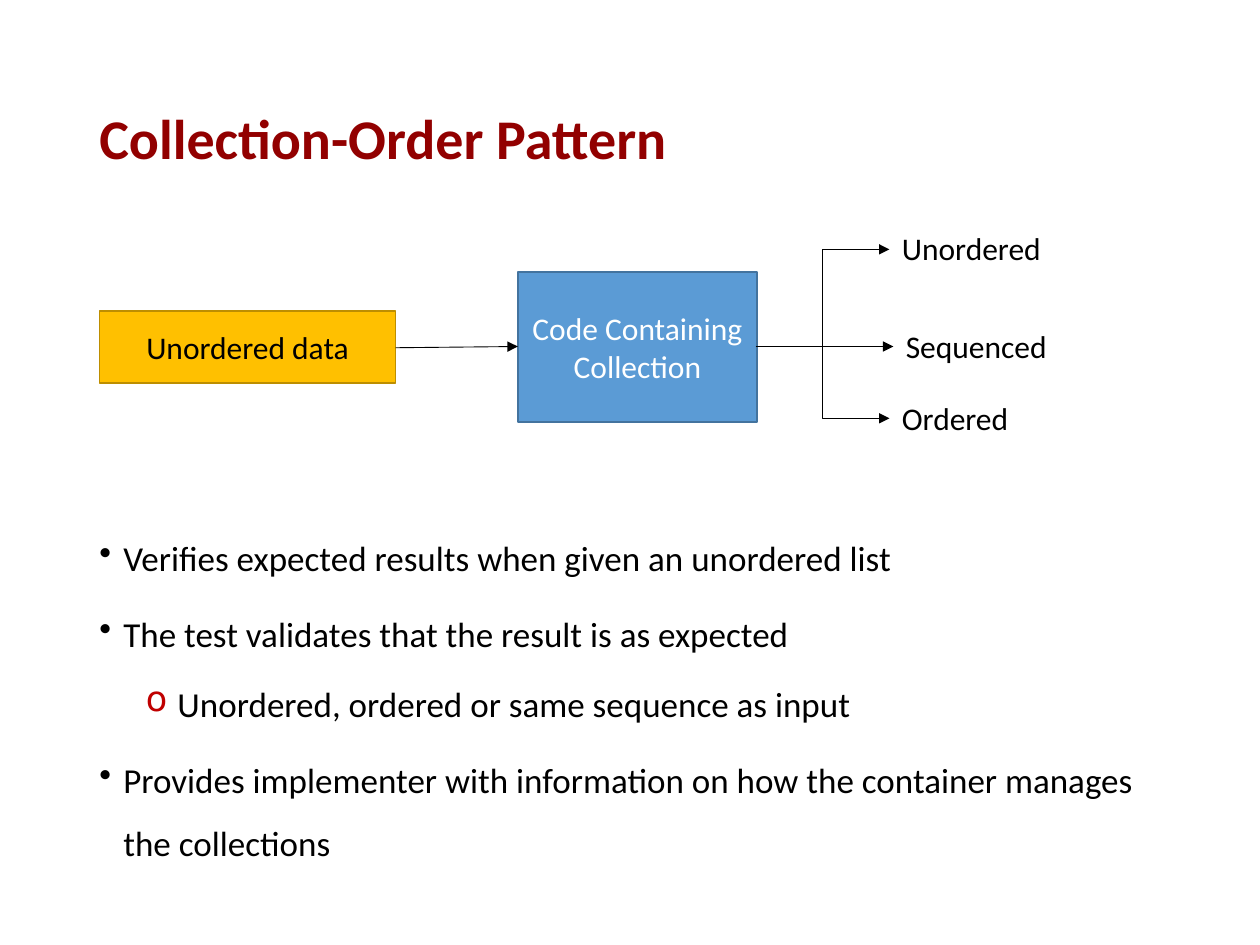
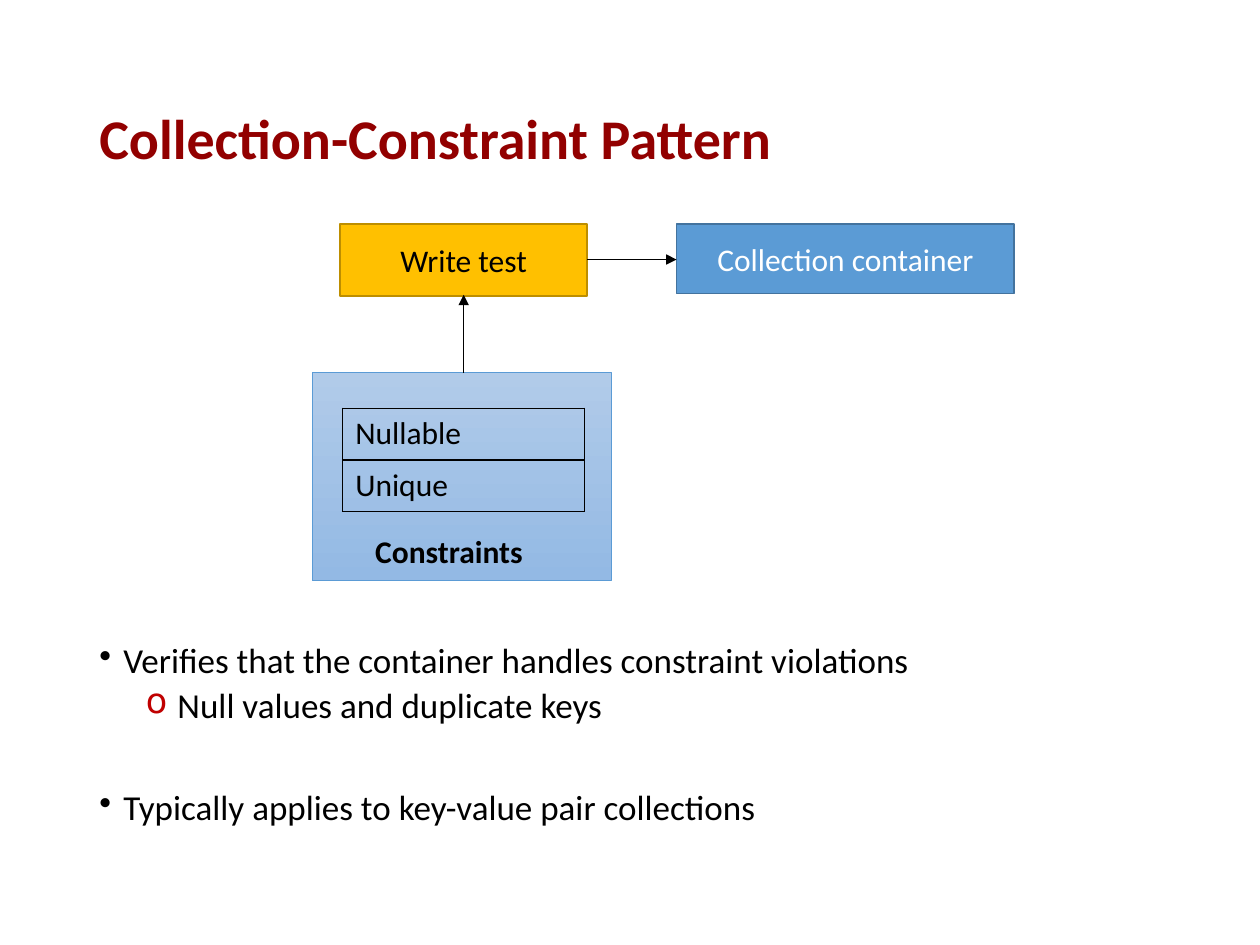
"""Build two slides on test patterns for collections."""
from dataclasses import dataclass

from lxml.etree import SubElement
from pptx import Presentation
from pptx.dml.color import RGBColor
from pptx.enum.shapes import MSO_CONNECTOR, MSO_SHAPE
from pptx.enum.text import MSO_ANCHOR, PP_ALIGN
from pptx.oxml.ns import qn
from pptx.util import Pt

SCALE = 9144


@dataclass(frozen=True)
class Theme:
    font: str = "Calibri"
    title: str = "920000"
    ink: str = "000000"
    white: str = "FFFFFF"
    gold: str = "FFC000"
    gold_edge: str = "BD8E00"
    blue: str = "5B9BD5"
    blue_edge: str = "43739E"
    pale: str = "B1CBE9"
    deep: str = "93B9E4"
    mark: str = "C00000"
    head_size: int = 32
    body_size: int = 20
    label_size: int = 18
    edge: float = 1
    thin: float = 0.5


THEME = Theme()


@dataclass(frozen=True)
class Area:
    left: int
    top: int
    width: int
    height: int

    def emu(self) -> tuple:
        return tuple(px(n) for n in (self.left, self.top, self.width, self.height))


@dataclass(frozen=True)
class Box:
    text: str
    area: Area
    fill: str
    edge: str
    ink: str


@dataclass(frozen=True)
class Label:
    text: str
    area: Area
    bold: bool = False


@dataclass(frozen=True)
class Arrow:
    start: tuple
    end: tuple
    bent: bool = False


@dataclass(frozen=True)
class Point:
    text: str
    level: int = 0
    gap: float = 7.5


def px(count: int) -> int:
    return count * SCALE


def rgb(code: str) -> RGBColor:
    return RGBColor.from_string(code)


def style(para, size: int, ink: str, bold: bool = False) -> None:
    for run in para.runs:
        run.font.name = THEME.font
        run.font.size = Pt(size)
        run.font.bold = bold
        run.font.color.rgb = rgb(ink)


def outline(line, ink: str, width: float) -> None:
    line.color.rgb = rgb(ink)
    line.width = Pt(width)


def add_text(slide, label: Label, size: int = THEME.label_size, ink: str = THEME.ink):
    frame = slide.shapes.add_textbox(*label.area.emu()).text_frame
    frame.word_wrap = True
    frame.text = label.text
    style(frame.paragraphs[0], size, ink, label.bold)
    return frame


def add_title(slide, text: str) -> None:
    label = Label(text, Area(69, 40, 862, 145), True)
    frame = add_text(slide, label, THEME.head_size, THEME.title)
    frame.vertical_anchor = MSO_ANCHOR.MIDDLE
    frame.paragraphs[0].line_spacing = 0.9


def add_mark(para, level: int) -> None:
    props = para._p.get_or_add_pPr()
    margin, indent = ((19, -19), (62, -25))[level]
    props.set("marL", str(px(margin)))
    props.set("indent", str(px(indent)))
    if level:
        props.set("lvl", str(level))
        tint = SubElement(props, qn("a:buClr"))
        SubElement(tint, qn("a:srgbClr")).set("val", THEME.mark)
    SubElement(props, qn("a:buChar")).set("char", "•o"[level])


def add_points(slide, area: Area, points: list[Point], spacing: float) -> None:
    frame = slide.shapes.add_textbox(*area.emu()).text_frame
    frame.word_wrap = True
    for index, point in enumerate(points):
        para = frame.add_paragraph() if index else frame.paragraphs[0]
        para.text = point.text
        add_mark(para, point.level)
        para.line_spacing = spacing
        para.space_before = Pt(point.gap if index else 0)
        style(para, THEME.body_size, THEME.ink)


def add_rect(slide, area: Area):
    shape = slide.shapes.add_shape(MSO_SHAPE.RECTANGLE, *area.emu())
    shape.shadow.inherit = False
    return shape


def add_box(slide, box: Box) -> None:
    shape = add_rect(slide, box.area)
    shape.fill.solid()
    shape.fill.fore_color.rgb = rgb(box.fill)
    outline(shape.line, box.edge, THEME.edge)
    frame = shape.text_frame
    frame.word_wrap = True
    frame.vertical_anchor = MSO_ANCHOR.MIDDLE
    frame.text = box.text
    frame.paragraphs[0].alignment = PP_ALIGN.CENTER
    style(frame.paragraphs[0], THEME.label_size, box.ink)


def add_panel(slide, area: Area) -> None:
    shape = add_rect(slide, area)
    shape.fill.gradient()
    shape.fill.gradient_angle = 270
    for stop, tint in zip(shape.fill.gradient_stops, (THEME.pale, THEME.deep)):
        stop.color.rgb = rgb(tint)
    outline(shape.line, THEME.blue, THEME.thin)


def add_arrow(slide, arrow: Arrow) -> None:
    kind = MSO_CONNECTOR.ELBOW if arrow.bent else MSO_CONNECTOR.STRAIGHT
    ends = (px(n) for n in arrow.start + arrow.end)
    link = slide.shapes.add_connector(kind, *ends)
    outline(link.line, THEME.ink, THEME.thin)
    SubElement(link.line._get_or_add_ln(), qn("a:tailEnd")).set("type", "triangle")
    SubElement(link._element.spPr, qn("a:effectLst"))


def add_edges(cell) -> None:
    props = cell._tc.get_or_add_tcPr()
    for side in ("lnL", "lnR", "lnT", "lnB"):
        line = SubElement(props, qn(f"a:{side}"), w=str(Pt(THEME.edge)))
        fill = SubElement(line, qn("a:solidFill"))
        SubElement(fill, qn("a:srgbClr")).set("val", THEME.ink)


def add_grid(slide, area: Area, names: list[str]) -> None:
    table = slide.shapes.add_table(len(names), 1, *area.emu()).table
    table.first_row = False
    table.horz_banding = False
    for index, name in enumerate(names):
        cell = table.cell(index, 0)
        cell.text = name
        style(cell.text_frame.paragraphs[0], THEME.label_size, THEME.ink)
        add_edges(cell)
        cell.fill.background()


def gold_box(text: str, area: Area) -> Box:
    return Box(text, area, THEME.gold, THEME.gold_edge, THEME.ink)


def blue_box(text: str, area: Area) -> Box:
    return Box(text, area, THEME.blue, THEME.blue_edge, THEME.white)


def draw_order(slide) -> None:
    add_title(slide, "Collection-Order Pattern")
    add_points(slide, Area(69, 404, 862, 289), [
        Point("Verifies expected results when given an unordered list"),
        Point("The test validates that the result is as expected"),
        Point("Unordered, ordered or same sequence as input", 1, 3.8),
        Point("Provides implementer with information on how the container "
              "manages the collections"),
    ], 1.5)
    add_box(slide, gold_box("Unordered data", Area(79, 247, 235, 57)))
    add_box(slide, blue_box("Code Containing Collection", Area(411, 216, 190, 119)))
    add_arrow(slide, Arrow((314, 276), (411, 275)))
    results = [
        Label("Unordered", Area(706, 177, 139, 40)),
        Label("Sequenced", Area(709, 255, 148, 40)),
        Label("Ordered", Area(706, 312, 113, 40)),
    ]
    source = (600, 275)
    for label in results:
        add_text(slide, label)
        middle = label.area.top + label.area.height // 2
        target = (label.area.left, middle + (1 if middle < source[1] else 0))
        add_arrow(slide, Arrow(source, target, target[1] != source[1]))


def draw_rules(slide) -> None:
    add_title(slide, "Collection-Constraint Pattern")
    add_points(slide, Area(69, 506, 862, 173), [
        Point("Verifies that the container handles constraint violations"),
        Point("Null values and duplicate keys", 1, 3.8),
        Point("Typically applies to key-value pair collections", gap=37),
    ], 0.9)
    add_box(slide, gold_box("Write test", Area(270, 178, 196, 57)))
    add_box(slide, blue_box("Collection container", Area(537, 178, 268, 55)))
    add_panel(slide, Area(248, 296, 237, 165))
    add_grid(slide, Area(272, 324, 192, 82), ["Nullable", "Unique"])
    add_text(slide, Label("Constraints", Area(288, 417, 160, 40), True))
    add_arrow(slide, Arrow((368, 296), (368, 234)))
    add_arrow(slide, Arrow((466, 206), (537, 206)))


def main() -> None:
    deck = Presentation()
    deck.slide_width = px(1000)
    deck.slide_height = px(750)
    for draw in (draw_order, draw_rules):
        draw(deck.slides.add_slide(deck.slide_layouts[6]))
    deck.save("out.pptx")


if __name__ == "__main__":
    main()
